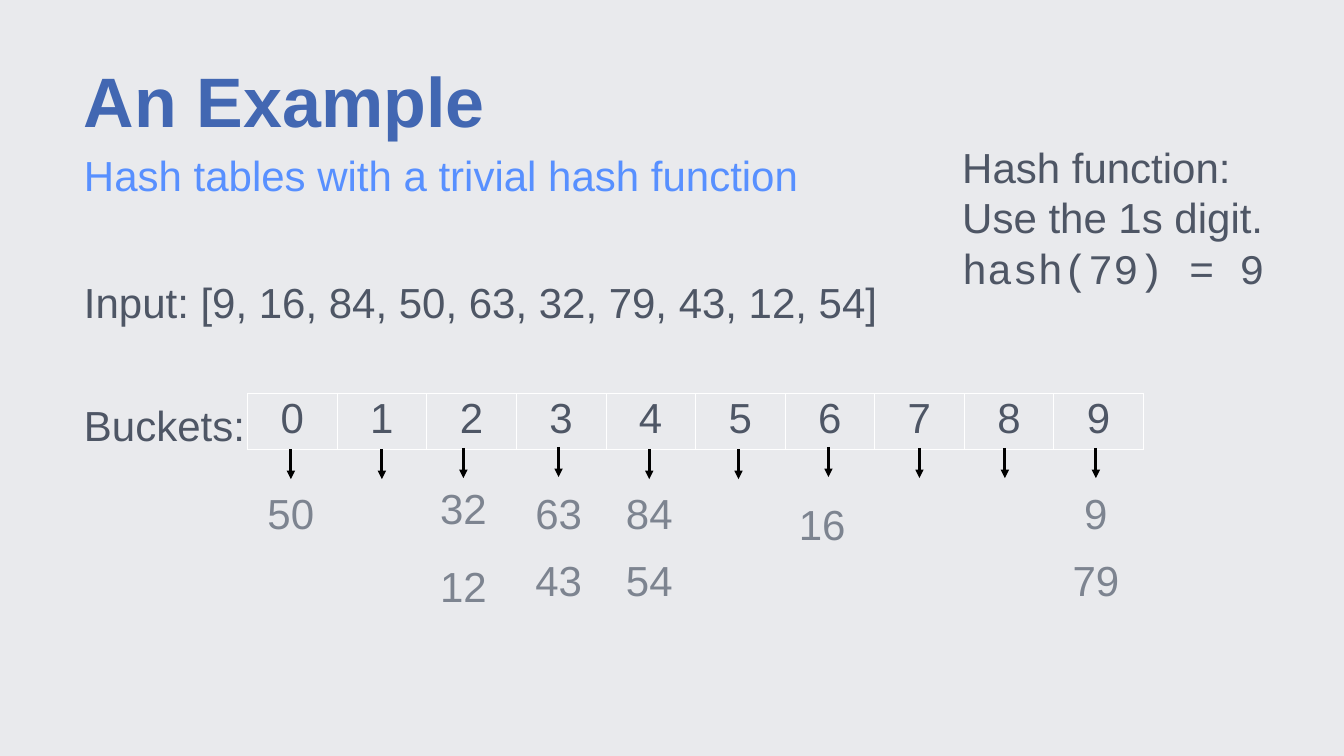
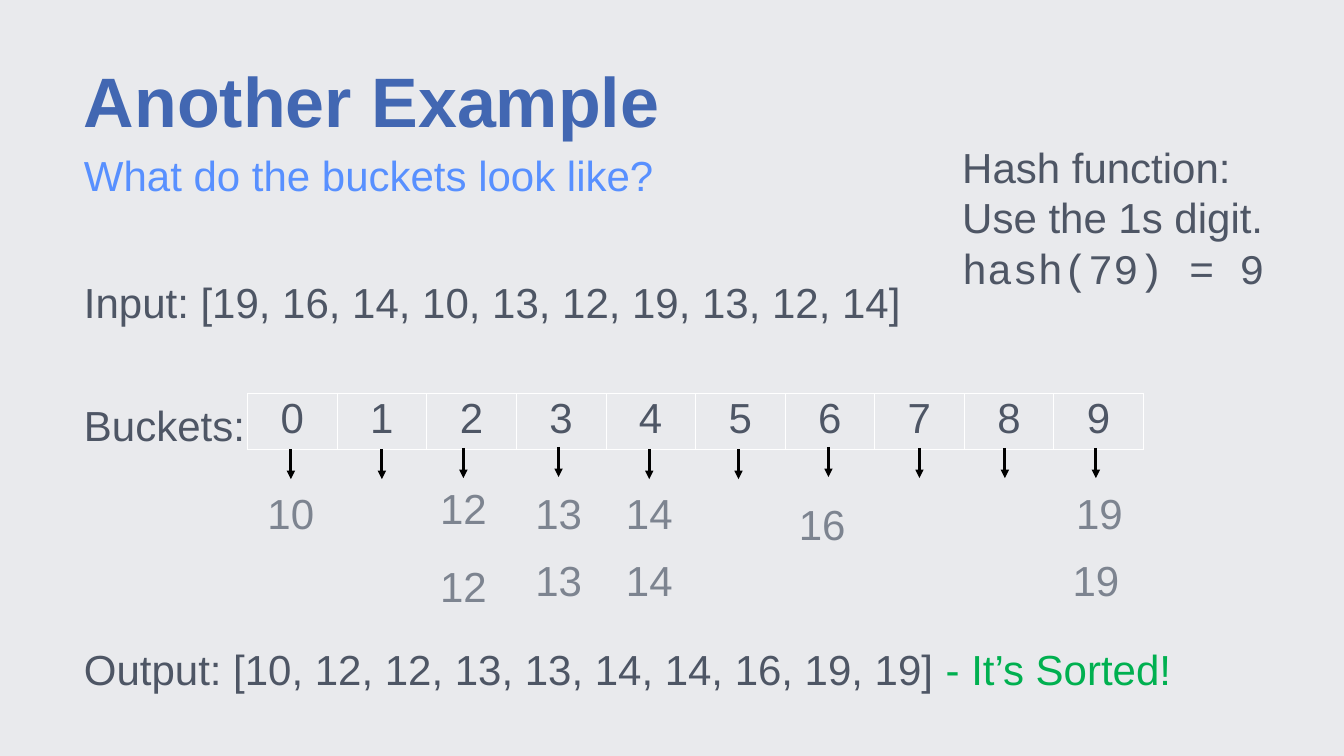
from pptx import Presentation
from pptx.dml.color import RGBColor
from pptx.enum.shapes import MSO_CONNECTOR
from pptx.enum.text import MSO_ANCHOR, PP_ALIGN
from pptx.oxml.ns import qn
from pptx.util import Pt
from lxml import etree

STRAIGHT = MSO_CONNECTOR.STRAIGHT
TOP, MIDDLE = MSO_ANCHOR.TOP, MSO_ANCHOR.MIDDLE
LEFT, CENTER = PP_ALIGN.LEFT, PP_ALIGN.CENTER

COLORS = {
    "background": "E9EAED",
    "title": "4267B2",
    "subtitle": "5890FF",
    "body": "4E5665",
    "value": "7D8490",
    "sorted": "00B050",
    "arrow": "000000",
    "border": "FFFFFF",
}
SANS, MONO = "Arial", "Courier New"
MARGIN, CONTENT_WIDTH = 120, 1680
BUCKET_COUNT, BUCKET_WIDTH = 10, 128
ARROW_LENGTH = 43
VALUE_WIDTH, VALUE_HEIGHT = 90, 120

# Per bucket: arrow x, arrow top
ARROWS = [
    (415.5, 641.5), (545.5, 641.5), (662, 640), (798, 638.5), (927.5, 641.5),
    (1055, 641.5), (1183.5, 638.5), (1313.5, 640), (1435.5, 640), (1565.5, 640),
]
# Tops of the first and second value under a bucket
VALUE_TOPS = (669, 764)
SPECIAL_VALUE_TOPS = {2: (661.5, 773), 6: (684, 764)}
SIX_SHIFT = -9


def color(name):
    return RGBColor.from_string(COLORS[name])


class Deck:
    """Shared style and the slide being built."""

    def __init__(self):
        self.deck = Presentation()
        self.deck.slide_width, self.deck.slide_height = Pt(1920), Pt(1080)
        self.slide = None

    def add_slide(self):
        self.slide = self.deck.slides.add_slide(self.deck.slide_layouts[6])
        fill = self.slide.background.fill
        fill.solid()
        fill.fore_color.rgb = color("background")

    def style(self, para, ink, size=60, font=SANS, bold=False, align=LEFT):
        para.alignment = align
        para.font.name, para.font.size, para.font.bold = font, Pt(size), bold
        para.font.color.rgb = color(ink)

    def text(self, lines, left, top, width, height, ink, spacing=1.0,
             inset=0, anchor=TOP, **look):
        box = self.slide.shapes.add_textbox(Pt(left), Pt(top), Pt(width), Pt(height))
        frame = box.text_frame
        frame.word_wrap, frame.vertical_anchor = True, anchor
        frame.margin_left = frame.margin_right = Pt(inset)
        frame.margin_top = frame.margin_bottom = Pt(inset)
        for index, line in enumerate(lines):
            para = frame.add_paragraph() if index else frame.paragraphs[0]
            para.add_run().text = line
            para.line_spacing = spacing
            self.style(para, ink, **look)
        return frame.paragraphs

    def arrow(self, x, top):
        line = self.slide.shapes.add_connector(
            STRAIGHT, Pt(x), Pt(top), Pt(x), Pt(top + ARROW_LENGTH))
        line.line.width = Pt(4)
        line.line.color.rgb = color("arrow")
        etree.SubElement(line.line._get_or_add_ln(), qn("a:tailEnd"), type="triangle")
        etree.SubElement(line._element.spPr, qn("a:effectLst"))

    def border(self, cell):
        properties = cell._tc.get_or_add_tcPr()
        for index, side in enumerate(("lnL", "lnR", "lnT", "lnB")):
            edge = etree.Element(qn("a:" + side), w=str(Pt(1)))
            fill = etree.SubElement(edge, qn("a:solidFill"))
            etree.SubElement(fill, qn("a:srgbClr"), val=COLORS["border"])
            properties.insert(index, edge)

    def bucket_table(self):
        table = self.slide.shapes.add_table(
            1, BUCKET_COUNT, Pt(353.5), Pt(562),
            Pt(BUCKET_COUNT * BUCKET_WIDTH), Pt(30)).table
        table.first_row = table.horz_banding = False
        for bucket, cell in enumerate(table.rows[0].cells):
            cell.text = str(bucket)
            cell.fill.background()
            self.style(cell.text_frame.paragraphs[0], "body", align=CENTER)
            self.border(cell)

    def value(self, number, center, top):
        self.text([str(number)], center - VALUE_WIDTH / 2, top, VALUE_WIDTH,
                  VALUE_HEIGHT, "value", spacing=1.1, anchor=MIDDLE, align=CENTER)

    def hash_slide(self, title, subtitle, numbers, show_output=False, nine_shift=0):
        self.add_slide()

        # Input, bucket label and output
        lines = [f"Input: {numbers}", "Buckets:"]
        if show_output:
            lines.append(f"Output: {sorted(numbers)} ")
        paras = self.text(lines, MARGIN, 380, CONTENT_WIDTH, 261.5, "body", spacing=1.2)
        paras[1].space_before = Pt(90)
        if show_output:
            paras[2].space_before = Pt(261.5)
            span = paras[2].add_run()
            span.text = "- It’s Sorted!"
            span.font.color.rgb = color("sorted")

        # Buckets and their values, in order of input
        self.bucket_table()
        for bucket, (x, top) in enumerate(ARROWS):
            self.arrow(x, top)
            chain = [number for number in numbers if number % BUCKET_COUNT == bucket]
            tops = SPECIAL_VALUE_TOPS.get(bucket, VALUE_TOPS)
            for place, (number, value_top) in enumerate(zip(chain, tops)):
                shift = SIX_SHIFT if bucket == 6 else 0
                if bucket == 9 and place == 0:
                    shift = nine_shift
                self.value(number, x + shift, value_top)

        # Headings and hash function
        self.text([title], MARGIN, 82, CONTENT_WIDTH, 145, "title", size=100, bold=True)
        self.text([subtitle], MARGIN, 214, CONTENT_WIDTH, 88, "subtitle")
        paras = self.text(["Hash function: Use the 1s digit.", "hash(79) = 9"],
                          1367.5, 195, 520, 303, "body", inset=7.2)
        paras[1].font.name = MONO


def main():
    builder = Deck()
    builder.hash_slide("An Example", "Hash tables with a trivial hash function",
                       [9, 16, 84, 50, 63, 32, 79, 43, 12, 54])
    builder.hash_slide("Another Example", "What do the buckets look like?",
                       [19, 16, 14, 10, 13, 12, 19, 13, 12, 14],
                       show_output=True, nine_shift=5)
    builder.deck.save("out.pptx")


if __name__ == "__main__":
    main()
